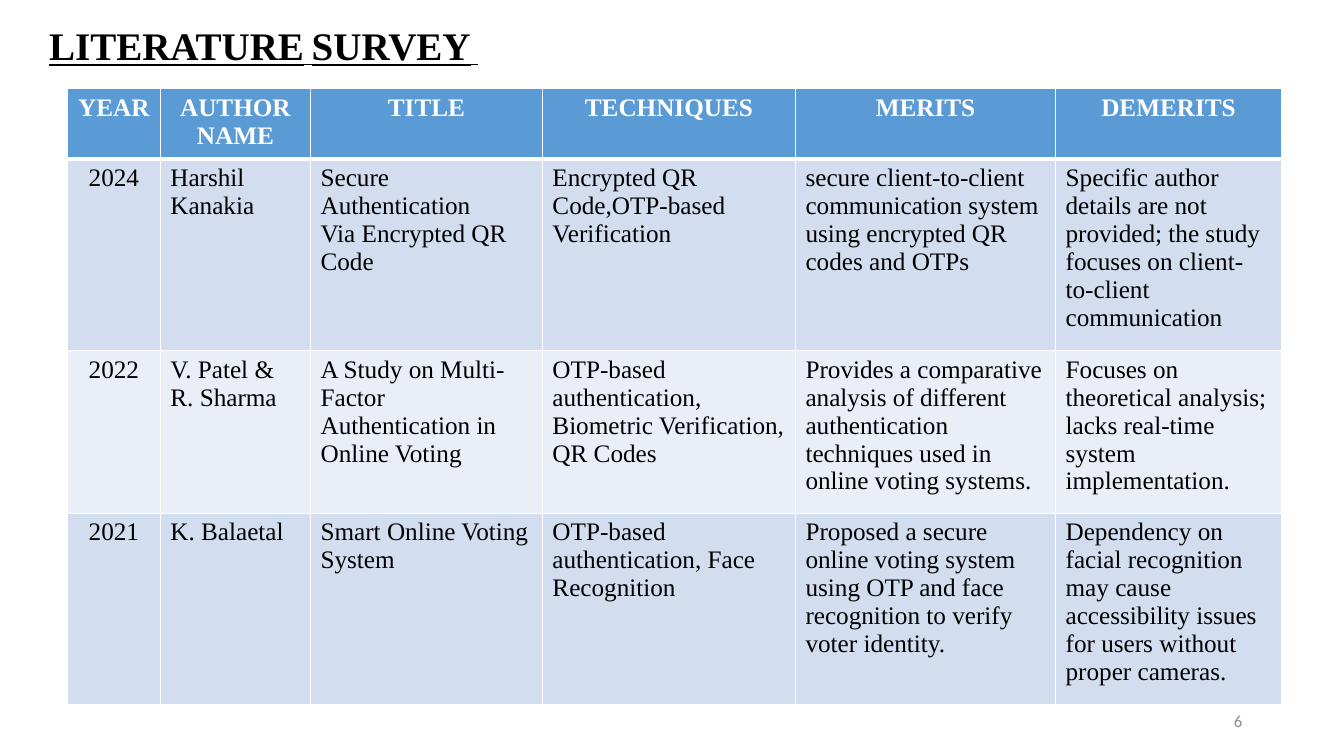
from lxml.etree import SubElement
from pptx import Presentation
from pptx.dml.color import RGBColor
from pptx.enum.text import MSO_ANCHOR as Anchor, PP_ALIGN as Align
from pptx.oxml.ns import qn
from pptx.util import Inches, Pt

SERIF = "Times New Roman"
TITLE = [("LITERATURE", 27.9), (" ", 21.6), ("SURVEY", 27.9), (" ", 21.6)]
PAGE_NUMBER = "6"
COLUMN_WIDTHS = [0.92, 1.49, 2.3, 2.51, 2.58, 2.24]
ROW_HEIGHTS = [0.69, 1.88, 1.61, 1.88]
HEADER_FILL = "5B9BD5"
BAND_FILLS = ["EAEFF7", "D2DEEF"]
SURVEY = [
    ["YEAR", "AUTHOR NAME", "TITLE", "TECHNIQUES", "MERITS", "DEMERITS"],
    ["2024", "Harshil Kanakia", "Secure Authentication\nVia Encrypted QR Code",
     "Encrypted QR Code,OTP-based Verification",
     "secure client-to-client communication system using encrypted QR codes and OTPs",
     "Specific author details are not provided; the study focuses on "
     "client-to-client communication"],
    ["2022", "V. Patel & R. Sharma",
     "A Study on Multi-Factor Authentication in Online Voting",
     "OTP-based authentication, Biometric Verification, QR Codes",
     "Provides a comparative analysis of different authentication techniques "
     "used in online voting systems.",
     "Focuses on theoretical analysis; lacks real-time system implementation."],
    ["2021", "K. Balaetal", "Smart Online Voting System",
     "OTP-based authentication, Face Recognition",
     "Proposed a secure online voting system using OTP and face recognition "
     "to verify voter identity.",
     "Dependency on facial recognition may cause accessibility issues for users "
     "without proper cameras."],
]


def color(value):
    return RGBColor.from_string(value)


def add_span(para, text, fill, **font_format):
    span = para.add_run()
    span.text = text
    span.font.color.rgb = color(fill)
    for name, value in font_format.items():
        setattr(span.font, name, value)


def add_line(page, left, top, width, height):
    """Add a vertically centred text box and return its first paragraph."""
    frame = page.shapes.add_textbox(*map(Inches, (left, top, width, height))).text_frame
    frame.word_wrap = True
    frame.vertical_anchor = Anchor.MIDDLE
    return frame.paragraphs[0]


def set_borders(cell, bottom_width):
    properties = cell._tc.get_or_add_tcPr()
    for side, width in {"L": 1, "R": 1, "T": 1, "B": bottom_width}.items():
        line = SubElement(properties, qn(f"a:ln{side}"), w=str(Pt(width)))
        SubElement(SubElement(line, qn("a:solidFill")), qn("a:srgbClr"), val="FFFFFF")


def fill_cell(cell, text, row, column):
    header = row == 0
    set_borders(cell, 3 if header else 1)
    cell.fill.solid()
    cell.fill.fore_color.rgb = color(HEADER_FILL if header else BAND_FILLS[row % 2])
    cell.text = text
    for para in cell.text_frame.paragraphs:
        para.alignment = Align.CENTER if header or column == 0 else Align.LEFT
        for span in para.runs:
            span.font.color.rgb = color("FFFFFF" if header else "000000")
            for name, value in {"name": SERIF, "size": Pt(18), "bold": header}.items():
                setattr(span.font, name, value)


def add_survey(page):
    frame = page.shapes.add_table(
        len(SURVEY), len(COLUMN_WIDTHS), Inches(0.67), Inches(0.88),
        Inches(sum(COLUMN_WIDTHS)), Inches(sum(ROW_HEIGHTS)))
    table = frame.table
    for column, width in zip(table.columns, COLUMN_WIDTHS):
        column.width = Inches(width)
    for row, height in zip(table.rows, ROW_HEIGHTS):
        row.height = Inches(height)
    for row, texts in enumerate(SURVEY):
        for column, text in enumerate(texts):
            fill_cell(table.cell(row, column), text, row, column)


def main():
    deck = Presentation()
    deck.slide_width, deck.slide_height = Inches(13.33), Inches(7.5)
    page = deck.slides.add_slide(deck.slide_layouts[6])

    title = add_line(page, 0.39, 0.26, 11.5, 0.44)
    title.line_spacing = 0.9
    for text, size in TITLE:
        add_span(title, text, "000000", name=SERIF, size=Pt(size), bold=True, underline=True)

    add_survey(page)

    number = add_line(page, 9.42, 6.95, 3, 0.4)
    number.alignment = Align.RIGHT
    add_span(number, PAGE_NUMBER, "8C8C8C", name="Calibri", size=Pt(12))
    deck.save("out.pptx")


if __name__ == "__main__":
    main()
